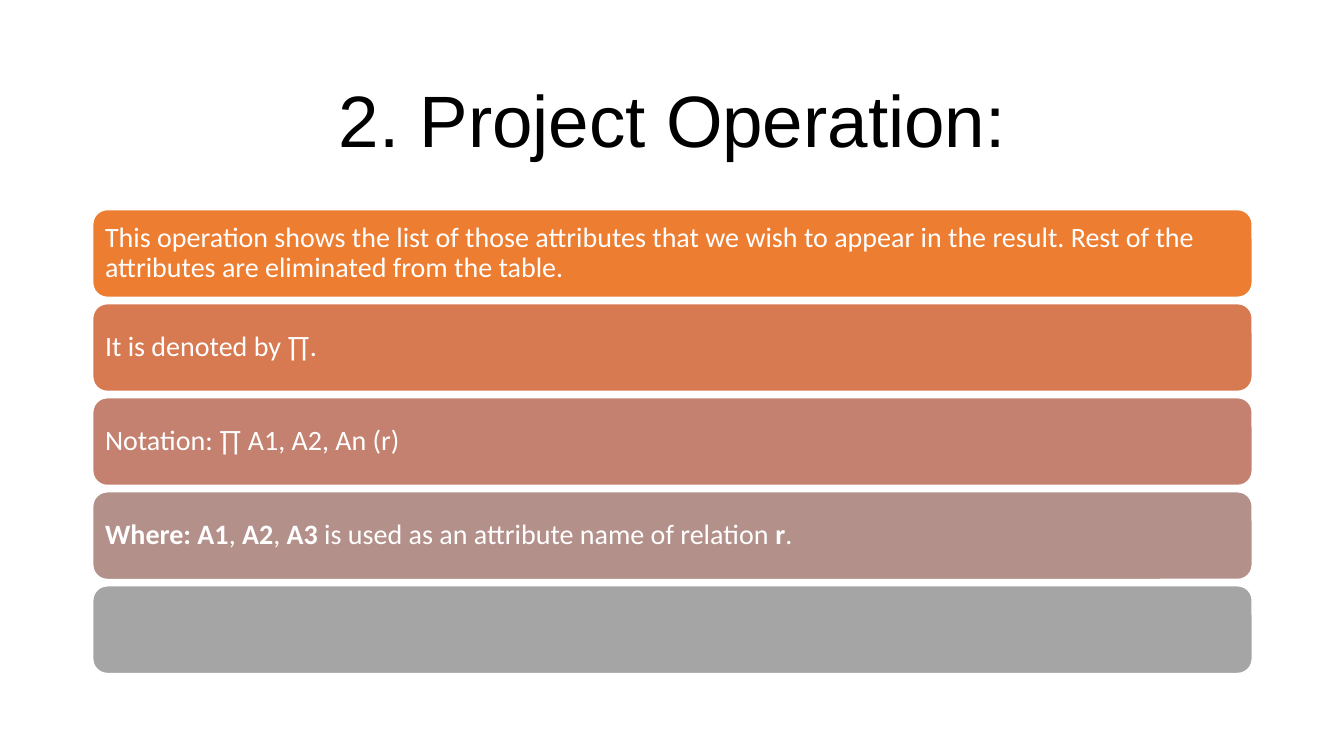
import pptx
import pptx.dml.color
import pptx.enum.shapes
import pptx.enum.text
import pptx.util

Inches = pptx.util.Inches
Pt = pptx.util.Pt
RGBColor = pptx.dml.color.RGBColor
PP_ALIGN = pptx.enum.text.PP_ALIGN
MIDDLE = pptx.enum.text.MSO_ANCHOR.MIDDLE

BLACK = RGBColor(0x00, 0x00, 0x00)
WHITE = RGBColor(0xFF, 0xFF, 0xFF)
ORANGE = RGBColor(0xED, 0x7D, 0x31)
RUST = RGBColor(0xD8, 0x7A, 0x51)
ROSE = RGBColor(0xC4, 0x81, 0x70)
MAUVE = RGBColor(0xB4, 0x90, 0x8B)
GREY = RGBColor(0xA5, 0xA5, 0xA5)

LEFT, WIDTH = 0.92, 11.5
BAR_TOP, BAR_HEIGHT, BAR_PITCH = 2.08, 0.87, 0.933

# Each bar: fill colour and its text as (wording, bold) runs.
BARS = [
    (ORANGE, [("This operation shows the list of those attributes that we wish "
               "to appear in the result. Rest of the attributes are eliminated "
               "from the table.", False)]),
    (RUST, [("It is denoted by ∏.", False)]),
    (ROSE, [("Notation: ∏ A1, A2, An (r)", False)]),
    (MAUVE, [("Where: A1", True), (", ", False), ("A2", True), (", ", False),
             ("A3", True), (" is used as an attribute name of relation ", False),
             ("r", True), (".", False)]),
    (GREY, []),
]


def format_run(r, font, size, color, bold=False):
    r.font.name = font
    r.font.size = Pt(size)
    r.font.color.rgb = color
    r.font.bold = bold


def set_title(s, text):
    title = s.shapes.title
    title.left, title.top = Inches(LEFT), Inches(0.61)
    title.width, title.height = Inches(WIDTH), Inches(1.24)
    tf = title.text_frame
    tf.text = text
    tf.vertical_anchor = MIDDLE
    p = tf.paragraphs[0]
    p.alignment = PP_ALIGN.CENTER
    p.line_spacing = 0.9
    format_run(p.runs[0], "Arial", 52, BLACK)


def add_bar(s, top, fill, runs):
    sp = s.shapes.add_shape(
        pptx.enum.shapes.MSO_SHAPE.ROUNDED_RECTANGLE,
        Inches(LEFT), Inches(top), Inches(WIDTH), Inches(BAR_HEIGHT))
    sp.shadow.inherit = False
    sp.fill.solid()
    sp.fill.fore_color.rgb = fill
    sp.line.color.rgb = WHITE
    sp.line.width = Pt(1)
    tf = sp.text_frame
    tf.word_wrap = True
    tf.vertical_anchor = MIDDLE
    # The rounded corners already inset the text by about 0.04 in.
    tf.margin_left = tf.margin_right = Inches(0.08)
    tf.margin_top = tf.margin_bottom = Inches(0.08)
    p = tf.paragraphs[0]
    p.alignment = PP_ALIGN.LEFT
    p.line_spacing = 0.9
    for text, bold in runs:
        r = p.add_run()
        r.text = text
        format_run(r, "Calibri", 20, WHITE, bold)


def main():
    prs = pptx.Presentation()
    prs.slide_width, prs.slide_height = Inches(13.33), Inches(7.5)
    title_only = prs.slide_layouts[5]
    s = prs.slides.add_slide(title_only)
    set_title(s, "2. Project Operation:")
    for i, (fill, runs) in enumerate(BARS):
        add_bar(s, BAR_TOP + i * BAR_PITCH, fill, runs)
    prs.save("out.pptx")


if __name__ == "__main__":
    main()
